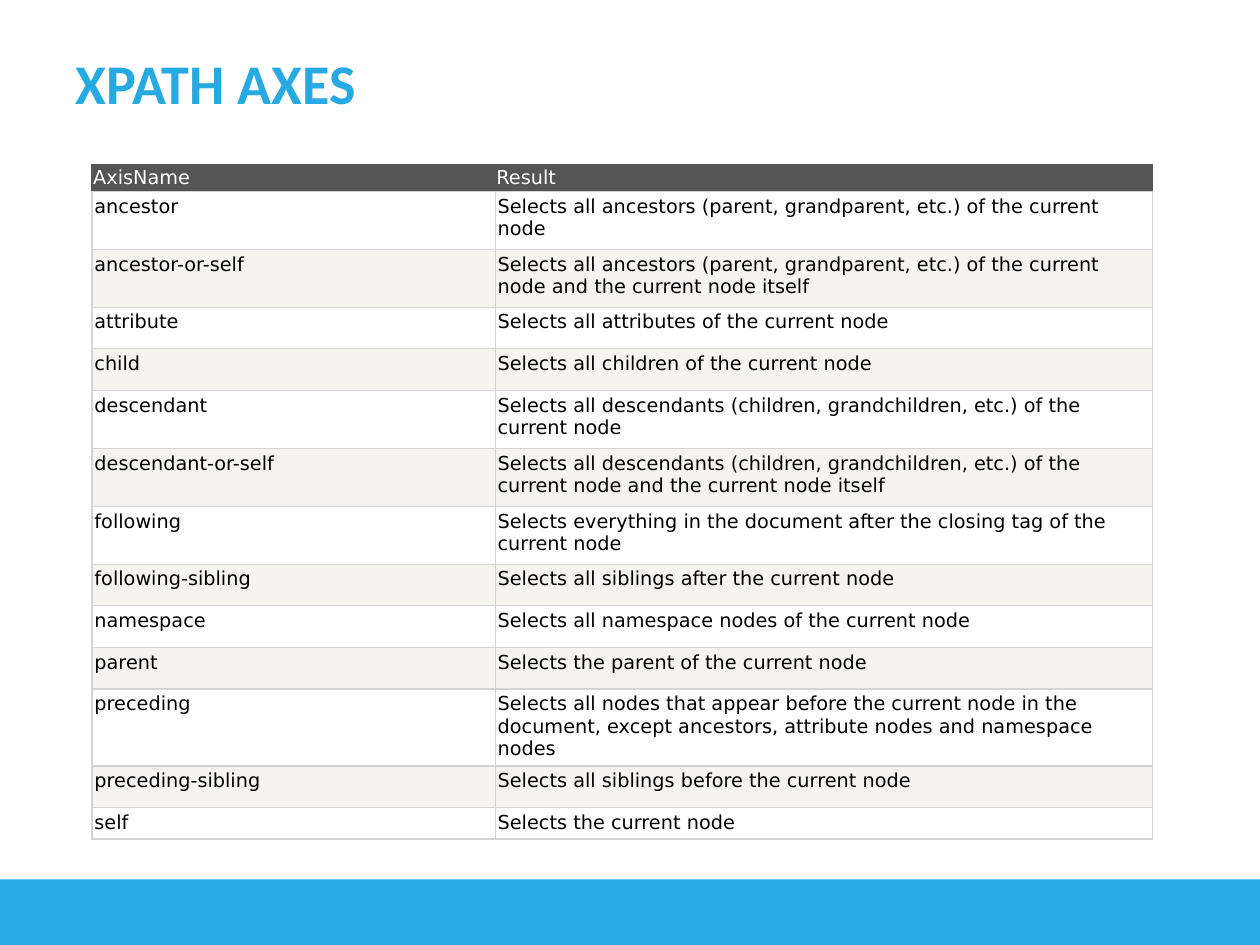
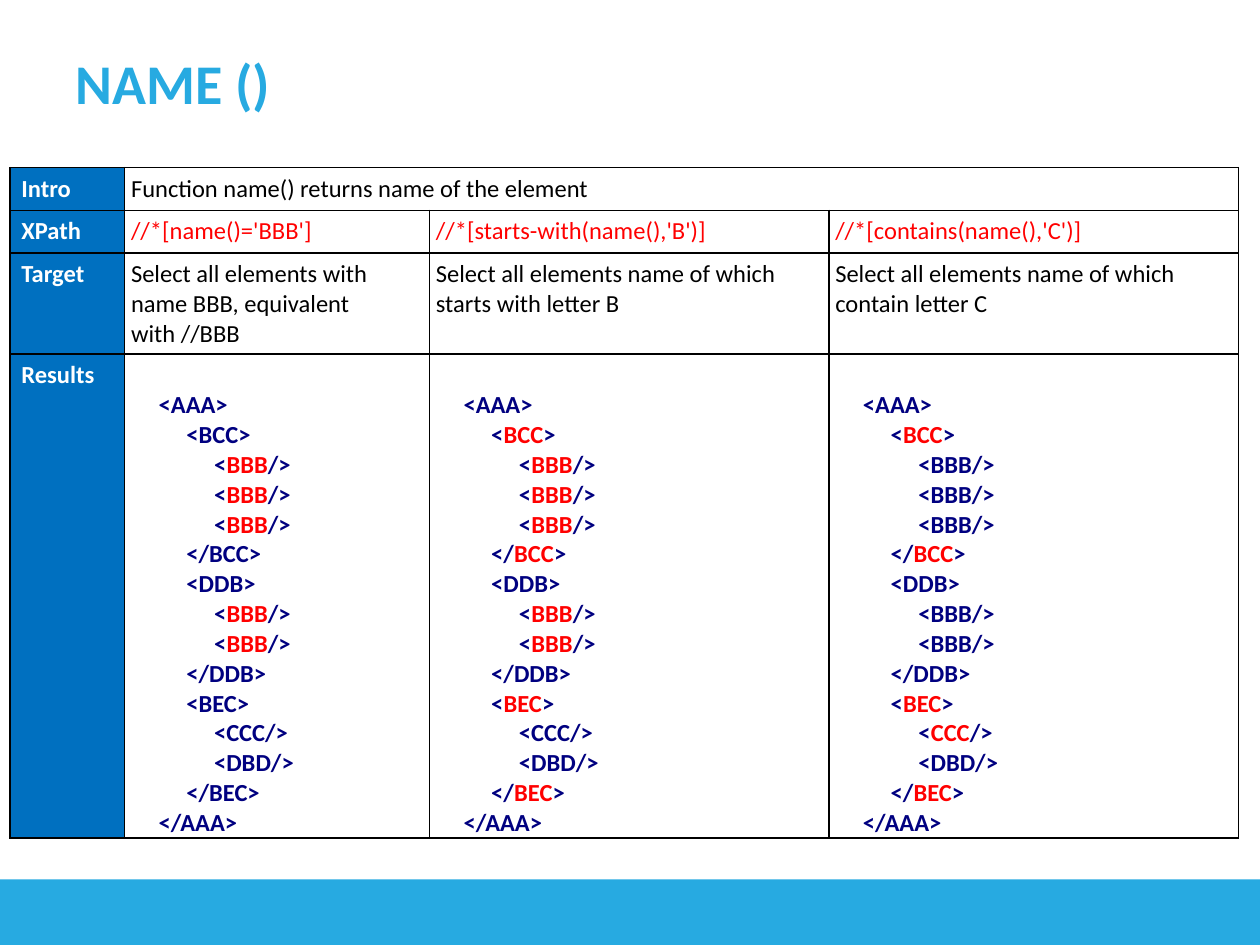
from lxml import etree
from pptx import Presentation
from pptx.dml.color import RGBColor
from pptx.enum import shapes, text
from pptx.oxml.ns import qn
from pptx.util import Inches, Pt

# Shared look
SKY, WHITE, BLACK = "27AAE1", "FFFFFF", "000000"
CHARCOAL, CREAM, SILVER = "555555", "F6F4F0", "D4D4D4"
BLUE, NAVY, RED = "0070C0", "000080", "FF0000"
TITLE_FONT = "Calibri"
AXES_FONT = "DejaVu Sans"

# Axes: name, result, row height
AXES_HEADER = ("AxisName", "Result", 0.21)
AXES = [
    ("ancestor", "Selects all ancestors (parent, grandparent, etc.) of the current node", 0.46),
    ("ancestor-or-self", "Selects all ancestors (parent, grandparent, etc.) of the current node "
     "and the current node itself", 0.46),
    ("attribute", "Selects all attributes of the current node", 0.33),
    ("child", "Selects all children of the current node", 0.33),
    ("descendant", "Selects all descendants (children, grandchildren, etc.) of the current node", 0.46),
    ("descendant-or-self", "Selects all descendants (children, grandchildren, etc.) of the current node "
     "and the current node itself", 0.46),
    ("following", "Selects everything in the document after the closing tag of the current node", 0.46),
    ("following-sibling", "Selects all siblings after the current node", 0.33),
    ("namespace", "Selects all namespace nodes of the current node", 0.33),
    ("parent", "Selects the parent of the current node", 0.33),
    ("preceding", "Selects all nodes that appear before the current node in the document, "
     "except ancestors, attribute nodes and namespace nodes", 0.61),
    ("preceding-sibling", "Selects all siblings before the current node", 0.33),
    ("self", "Selects the current node", 0.25),
]

# name(): row labels, introduction, and one query per column with its matching rule
LABELS = ["Intro", "XPath", "Target", "Results"]
INTRO = "Function name() returns name of the element"
QUERIES = [
    ("//*[name()='BBB']", "Select all elements with name BBB, equivalent with //BBB",
     lambda name: name == "BBB"),
    ("//*[starts-with(name(),'B')]", "Select all elements name of which starts with letter B",
     lambda name: name.startswith("B")),
    ("//*[contains(name(),'C')]", "Select all elements name of which contain letter C",
     lambda name: "C" in name),
]
TREE = ("AAA", [
    ("BCC", [("BBB", []), ("BBB", []), ("BBB", [])]),
    ("DDB", [("BBB", []), ("BBB", [])]),
    ("BEC", [("CCC", []), ("DBD", [])]),
])


def rgb(value):
    return RGBColor.from_string(value)


def write(frame, content, *, font=TITLE_FONT, size=14, color=BLACK, bold=False,
          anchor=text.MSO_ANCHOR.TOP):
    """Write a string, or a list of lines made of (text, colour) spans."""
    lines = [[(content, color)]] if isinstance(content, str) else content
    frame.word_wrap = True
    frame.vertical_anchor = anchor
    para = frame.paragraphs[0]
    para.font.size = Pt(size)
    for number, line in enumerate(lines):
        if number:
            para.add_line_break()
        for words, shade in line:
            span = para.add_run()
            span.text = words
            span.font.name = font
            span.font.size = Pt(size)
            span.font.bold = bold
            span.font.color.rgb = rgb(shade)
    # Line breaks keep the size of the text around them
    for gap in para._p.findall(qn("a:br")):
        etree.SubElement(gap, qn("a:rPr"), sz=str(size * 100))


def style_cell(cell, insets, borders, width, fill=None):
    """Set insets and borders (left, right, top, bottom) and the fill."""
    cell.margin_left, cell.margin_right, cell.margin_top, cell.margin_bottom = map(Inches, insets)
    if fill:
        cell.fill.solid()
        cell.fill.fore_color.rgb = rgb(fill)
    else:
        cell.fill.background()
    properties = cell._tc.get_or_add_tcPr()
    for place, (side, color) in enumerate(zip("LRTB", borders)):
        line = etree.Element(qn("a:ln" + side), w=str(Pt(width)))
        solid = etree.SubElement(line, qn("a:solidFill"))
        etree.SubElement(solid, qn("a:srgbClr"), val=color)
        properties.insert(place, line)


def add_grid(page, left, top, widths, heights):
    frame = page.shapes.add_table(len(heights), len(widths), Inches(left), Inches(top),
                                  Inches(sum(widths)), Inches(sum(heights)))
    table = frame.table
    table.first_row = table.horz_banding = False
    for column, width in zip(table.columns, widths):
        column.width = Inches(width)
    for row, height in zip(table.rows, heights):
        row.height = Inches(height)
    return table


def add_page(deck, title):
    page = deck.slides.add_slide(deck.slide_layouts[6])
    band = page.shapes.add_shape(shapes.MSO_SHAPE.RECTANGLE, Inches(-0.03), Inches(6.98),
                                 Inches(10.09), Inches(0.65))
    band.shadow.inherit = False
    band.fill.solid()
    band.fill.fore_color.rgb = rgb(SKY)
    band.line.fill.background()
    box = page.shapes.add_textbox(Inches(0.5), Inches(0.3), Inches(6.85), Inches(0.7))
    write(box.text_frame, title, size=32, color=SKY, bold=True, anchor=text.MSO_ANCHOR.MIDDLE)
    return page


def markup(node, matches, depth=1):
    """List the lines of an element, with matching names in red."""
    name, children = node
    indent = " " * 5 * depth
    shade = RED if matches(name) else NAVY

    def tag(start, end):
        return [(indent + start, NAVY), (name, shade), (end, NAVY)]

    if not children:
        return [tag("<", "/>")]
    inner = [line for child in children for line in markup(child, matches, depth + 1)]
    return [tag("<", ">")] + inner + [tag("</", ">")]


def axes_page(deck):
    page = add_page(deck, "XPATH AXES")
    rows = [AXES_HEADER] + AXES
    table = add_grid(page, 0.73, 1.31, [3.2, 5.22], [height for *_, height in rows])
    for r, (*words, _) in enumerate(rows):
        for c, word in enumerate(words):
            cell = table.cell(r, c)
            if r == 0:
                style_cell(cell, [0.01] * 4, [CHARCOAL] * 3 + [SILVER], 0.75, CHARCOAL)
            else:
                style_cell(cell, [0.02, 0.02, 0.03, 0.03], [SILVER] * 4, 0.75,
                           WHITE if r % 2 else CREAM)
            write(cell.text_frame, word, font=AXES_FONT, size=11, color=BLACK if r else WHITE)


def name_page(deck):
    page = add_page(deck, "NAME ()")
    table = add_grid(page, 0.08, 1.33, [0.91, 2.42, 3.17, 3.25], [0.34, 0.34, 0.8, 3.84])
    for r in range(len(LABELS)):
        for c in range(len(QUERIES) + 1):
            style_cell(table.cell(r, c), [0.05 if c else 0.09, 0.05, 0.05, 0.05],
                       [BLACK] * 4, 1, None if c else BLUE)

    # Row labels and introduction
    for r, label in enumerate(LABELS):
        write(table.cell(r, 0).text_frame, label, color=WHITE, bold=True)
    table.cell(0, 1).merge(table.cell(0, 3))
    write(table.cell(0, 1).text_frame, INTRO)

    # One column per query
    middle = text.MSO_ANCHOR.MIDDLE
    for c, (query, target, matches) in enumerate(QUERIES, 1):
        write(table.cell(1, c).text_frame, query, color=RED, anchor=middle)
        write(table.cell(2, c).text_frame, target, anchor=middle)
        result = table.cell(3, c)
        result.margin_top = Inches(0.29)
        write(result.text_frame, markup(TREE, matches), bold=True)


def main():
    deck = Presentation()
    deck.slide_width, deck.slide_height = Inches(10), Inches(7.5)
    axes_page(deck)
    name_page(deck)
    deck.save("out.pptx")


if __name__ == "__main__":
    main()
